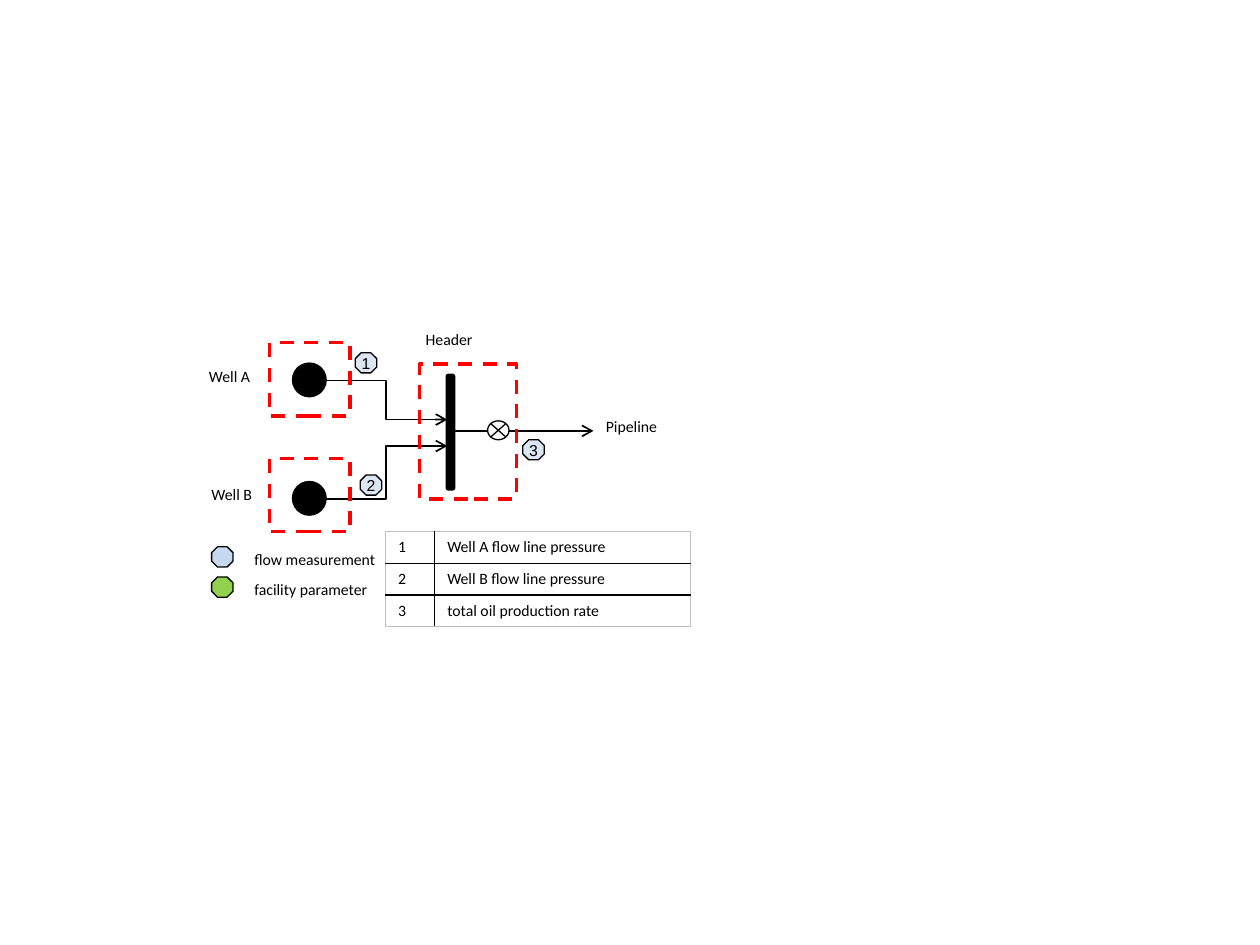
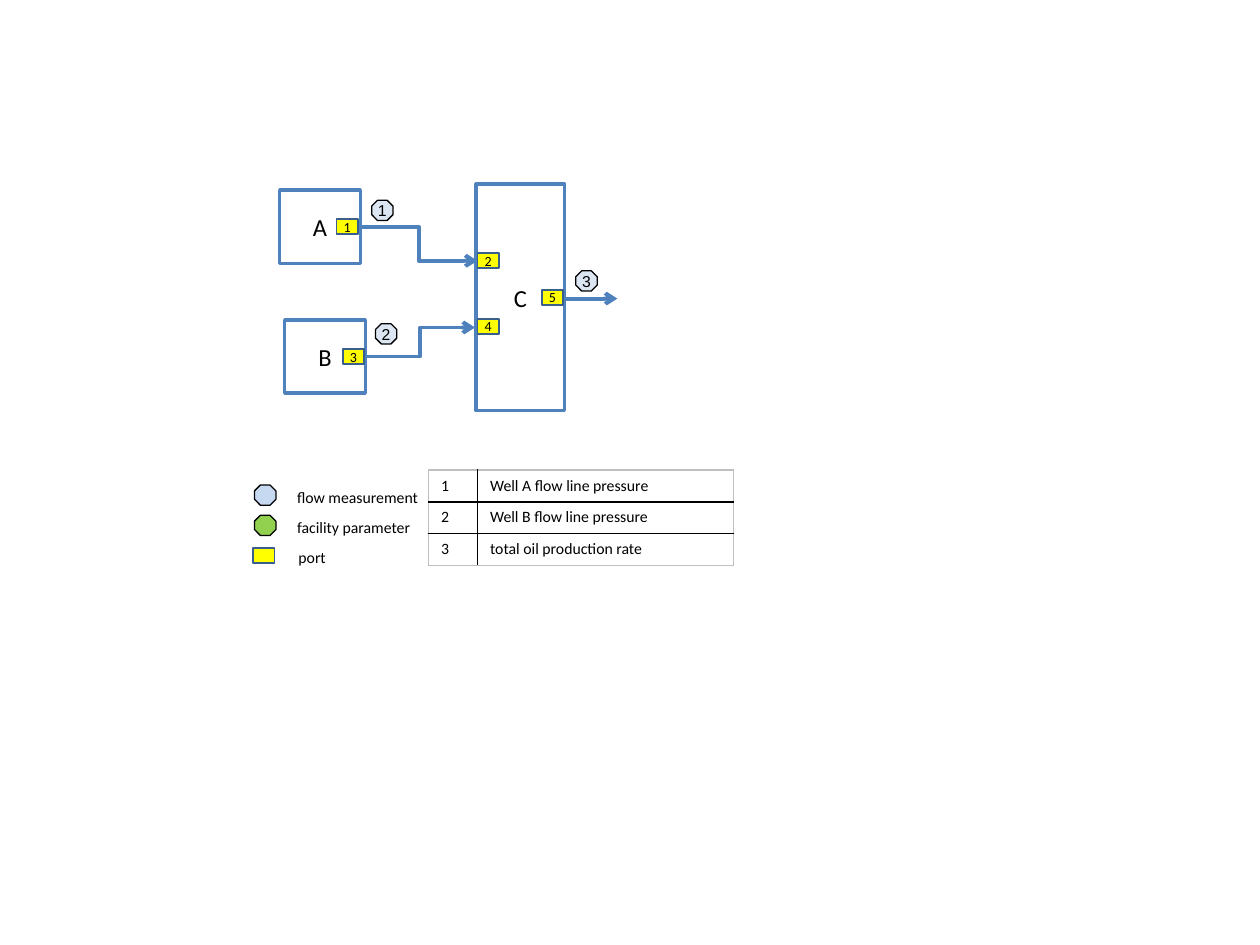
from lxml.etree import SubElement
from pptx import Presentation
from pptx.dml.color import RGBColor
from pptx.enum.dml import MSO_LINE
from pptx.enum.shapes import MSO_CONNECTOR, MSO_SHAPE
from pptx.enum.text import MSO_ANCHOR, MSO_AUTO_SIZE, PP_ALIGN
from pptx.oxml.ns import qn
from pptx.util import Inches, Pt

BLACK = RGBColor(0x00, 0x00, 0x00)
WHITE = RGBColor(0xFF, 0xFF, 0xFF)
RED = RGBColor(0xFF, 0x00, 0x00)
BLUE = RGBColor(0x4F, 0x81, 0xBD)
NAVY = RGBColor(0x3A, 0x5F, 0x8C)
PALE = RGBColor(0xDC, 0xE6, 0xF2)
SKY = RGBColor(0xC6, 0xD9, 0xF1)
GREEN = RGBColor(0x92, 0xD0, 0x50)
YELLOW = RGBColor(0xFF, 0xFF, 0x00)
GREY = RGBColor(0xBF, 0xBF, 0xBF)

FLOWS = ["Well A flow line pressure", "Well B flow line pressure",
         "total oil production rate"]
COLS = [0.39, 2.03]
ROW = 0.25
STEP = 0.24
WELL = (0.64, 0.58)


def write(frame, text, size=9, font="Calibri"):
    para = frame.paragraphs[0]
    run = para.add_run()
    run.text = text
    run.font.size = Pt(size)
    run.font.name = font
    run.font.color.rgb = BLACK
    return para


def add_form(slide, kind, x, y, w, h, fill=None, line=BLACK, width=2.0):
    form = slide.shapes.add_shape(kind, Inches(x), Inches(y), Inches(w), Inches(h))
    form.shadow.inherit = False
    if fill is None:
        form.fill.background()
    else:
        form.fill.solid()
        form.fill.fore_color.rgb = fill
    form.line.color.rgb = line
    form.line.width = Pt(width)
    return form


def center(form, text, size, font="Calibri"):
    """Write text in the middle of a shape, free of its margins."""
    frame = form.text_frame
    frame.margin_left = frame.margin_right = 0
    frame.margin_top = frame.margin_bottom = 0
    frame.word_wrap = False
    frame.vertical_anchor = MSO_ANCHOR.MIDDLE
    write(frame, text, size, font).alignment = PP_ALIGN.CENTER


def add_mark(slide, x, y, text="", fill=PALE):
    """Octagon for a flow measurement or a facility parameter."""
    mark = add_form(slide, MSO_SHAPE.OCTAGON, x, y, 0.17, 0.16, fill, width=0.75)
    if text:
        center(mark, text, 9, "Arial")


def add_port(slide, x, y, text=""):
    port = add_form(slide, MSO_SHAPE.RECTANGLE, x, y, 0.17, 0.12, YELLOW, NAVY, 1)
    if text:
        center(port, text, 8)


def add_frame(slide, x, y, w, h):
    """Dashed red outline around a unit."""
    box = add_form(slide, MSO_SHAPE.RECTANGLE, x, y, w, h, line=RED)
    box.line.dash_style = MSO_LINE.DASH


def add_unit(slide, text, x, y, w, h):
    center(add_form(slide, MSO_SHAPE.RECTANGLE, x, y, w, h, line=BLUE), text, 14)


def add_label(slide, text, x, y, w):
    box = slide.shapes.add_textbox(Inches(x), Inches(y), Inches(w), Inches(0.25))
    box.text_frame.word_wrap = False
    box.text_frame.auto_size = MSO_AUTO_SIZE.SHAPE_TO_FIT_TEXT
    write(box.text_frame, text)


def add_arrow(slide, start, end, color, width):
    """Arrow with an open head: straight when level, else with an elbow."""
    kind = MSO_CONNECTOR.STRAIGHT if start[1] == end[1] else MSO_CONNECTOR.ELBOW
    arrow = slide.shapes.add_connector(kind, *map(Inches, start + end))
    arrow.line.color.rgb = color
    arrow.line.width = Pt(width)
    SubElement(arrow.line._get_or_add_ln(), qn("a:tailEnd"), type="arrow")
    SubElement(arrow._element.spPr, qn("a:effectLst"))


def set_edges(cell, edges):
    """Draw the cell borders; edges maps each side to its colour."""
    props = cell._tc.get_or_add_tcPr()
    for spot, (side, color) in enumerate(edges.items()):
        line = props.makeelement(qn("a:ln" + side), {"w": str(Pt(1))})
        fill = SubElement(line, qn("a:solidFill"))
        SubElement(fill, qn("a:srgbClr"), val=str(color))
        props.insert(spot, line)


def add_flows(slide, x, y):
    """Table that names the numbered flows."""
    last = len(FLOWS) - 1
    frame = slide.shapes.add_table(len(FLOWS), 2, Inches(x), Inches(y),
                                   Inches(sum(COLS)), Inches(ROW * len(FLOWS)))
    table = frame.table
    table.first_row = table.horz_banding = False
    for col, width in zip(table.columns, COLS):
        col.width = Inches(width)
    for r, flow in enumerate(FLOWS):
        table.rows[r].height = Inches(ROW)
        for c, text in enumerate((str(r + 1), flow)):
            cell = table.cell(r, c)
            cell.fill.background()
            write(cell.text_frame, text)
            set_edges(cell, {"L": BLACK if c else GREY,
                             "R": GREY if c else BLACK,
                             "T": BLACK if r else GREY,
                             "B": BLACK if r < last else GREY})


def add_key(slide, x, y):
    """Legend of the marks, with the flow table at its right."""
    add_flows(slide, x + 1.38, y - 0.12)
    rows = [("flow measurement", SKY, 1.17), ("facility parameter", GREEN, 1.11)]
    for i, (text, fill, width) in enumerate(rows):
        add_mark(slide, x, y + i * STEP, fill=fill)
        add_label(slide, text, x + 0.24, y - 0.03 + i * STEP, width)


def draw_wells(slide):
    add_arrow(slide, (2.58, 3.02), (3.55, 3.33), BLACK, 1)
    add_arrow(slide, (2.58, 3.96), (3.55, 3.54), BLACK, 1)
    for y in (2.89, 3.83):
        add_form(slide, MSO_SHAPE.FLOWCHART_CONNECTOR, 2.33, y, 0.25, 0.25, BLACK)
    add_form(slide, MSO_SHAPE.ROUNDED_RECTANGLE, 3.55, 2.98, 0.05, 0.9, BLACK)
    add_arrow(slide, (3.6, 3.42), (4.71, 3.42), BLACK, 1)
    add_form(slide, MSO_SHAPE.FLOWCHART_SUMMING_JUNCTION,
             3.87, 3.34, 0.17, 0.15, WHITE, width=0.75)
    for text, x, y, width in [("Well A", 1.56, 2.86, 0.54), ("Well B", 1.58, 3.8, 0.53),
                              ("Header", 3.28, 2.57, 0.58), ("Pipeline", 4.71, 3.26, 0.62)]:
        add_label(slide, text, x, y, width)
    for text, x, y in [("1", 2.82, 2.8), ("2", 2.86, 3.77), ("3", 4.15, 3.49)]:
        add_mark(slide, x, y, text)
    for y in (2.72, 3.64):
        add_frame(slide, 2.14, y, *WELL)
    add_frame(slide, 3.33, 2.89, 0.77, 1.07)
    add_key(slide, 1.68, 4.34)


def draw_ports(slide):
    for start, end in [((2.86, 1.8), (3.79, 2.07)), ((2.9, 2.83), (3.77, 2.6)),
                       ((4.48, 2.37), (4.9, 2.37))]:
        add_arrow(slide, start, end, BLUE, 2.25)
    add_unit(slide, "A", 2.22, 1.51, *WELL)
    add_unit(slide, "B", 2.26, 2.54, *WELL)
    add_unit(slide, "C", 3.78, 1.46, 0.7, 1.8)
    for text, x, y in [("1", 2.67, 1.74), ("2", 3.79, 2.01), ("3", 2.72, 2.77),
                       ("4", 3.79, 2.53), ("5", 4.3, 2.3)]:
        add_port(slide, x, y, text)
    for text, x, y in [("1", 2.95, 1.59), ("2", 2.98, 2.57), ("3", 4.57, 2.15)]:
        add_mark(slide, x, y, text)
    add_key(slide, 2.02, 3.85)
    add_port(slide, 2.01, 4.35)
    add_label(slide, "port", 2.27, 4.3, 0.42)


def main():
    deck = Presentation()
    deck.slide_width, deck.slide_height = Inches(10), Inches(7.5)
    for draw in (draw_wells, draw_ports):
        draw(deck.slides.add_slide(deck.slide_layouts[6]))
    deck.save("out.pptx")


if __name__ == "__main__":
    main()
